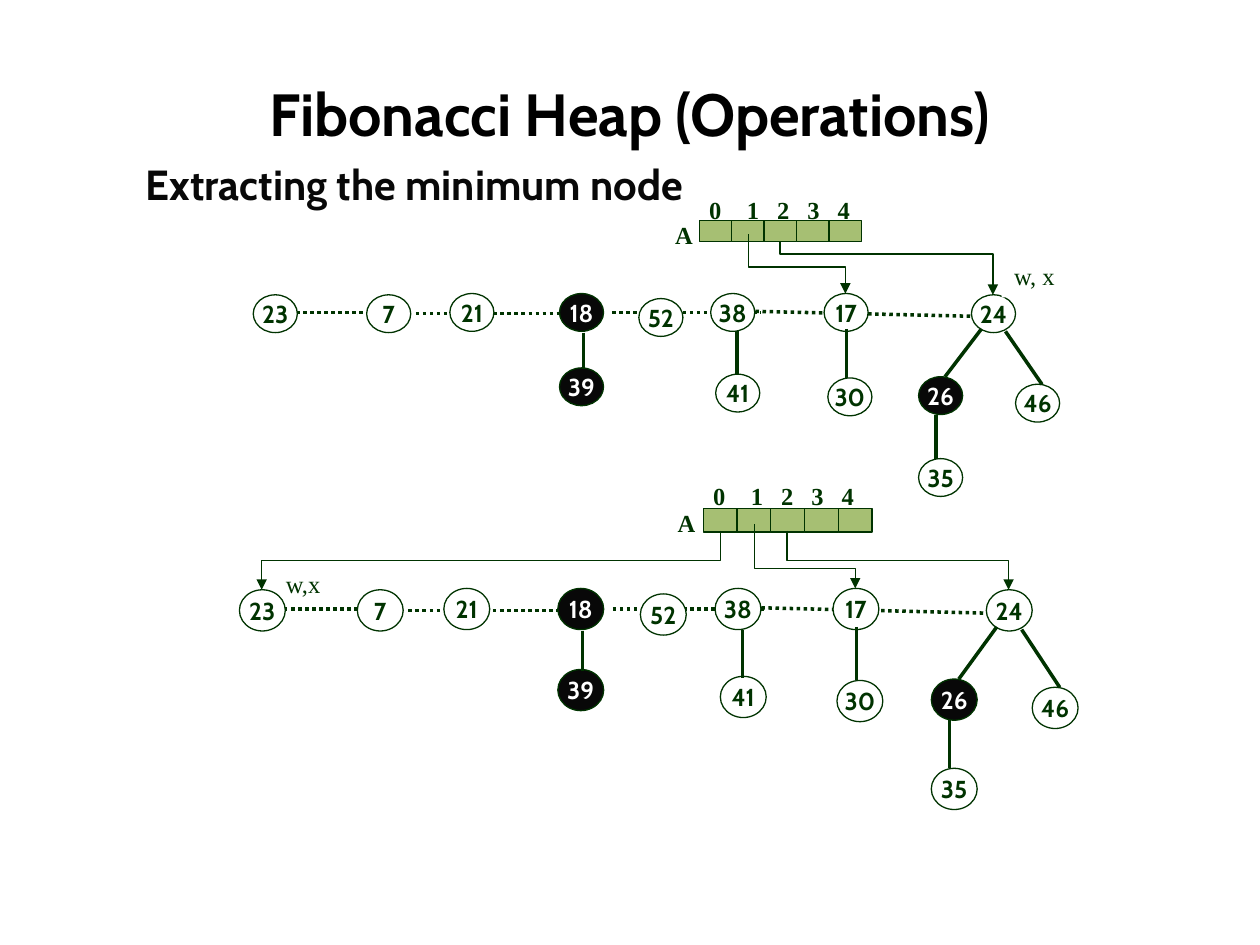
from lxml import etree
from pptx import Presentation
from pptx.dml.color import RGBColor
from pptx.enum.dml import MSO_LINE
from pptx.enum.shapes import MSO_CONNECTOR, MSO_SHAPE
from pptx.enum.text import MSO_ANCHOR, PP_ALIGN
from pptx.oxml.ns import qn
from pptx.util import Emu, Pt

PX = 9144  # 100 px to the inch
STRAIGHT, ELBOW = MSO_CONNECTOR.STRAIGHT, MSO_CONNECTOR.ELBOW
RECT, OVAL = MSO_SHAPE.RECTANGLE, MSO_SHAPE.OVAL
LEFT, CENTER, JUSTIFY = PP_ALIGN.LEFT, PP_ALIGN.CENTER, PP_ALIGN.JUSTIFY
TOP, MIDDLE = MSO_ANCHOR.TOP, MSO_ANCHOR.MIDDLE
DOTTED = MSO_LINE.ROUND_DOT
SANS, SERIF = "Cabin", "Times New Roman"
GREEN, CELL, BLACK, WHITE = "003300", "A6BF73", "080808", "FFFFFF"

# label, left, top, marked
NODES = [
    ("23", 201, 234, False), ("7", 291, 234, False), ("21", 357, 233, False),
    ("18", 444, 233, True), ("52", 507, 237, False), ("38", 564, 233, False),
    ("17", 654, 233, False), ("24", 771, 234, False), ("39", 444, 292, True),
    ("41", 568, 297, False), ("30", 657, 300, False), ("26", 729, 299, True),
    ("46", 806, 305, False), ("35", 729, 364, False),
]
ROOT_LINKS = [(235, 248, 291, 248), (330, 249, 444, 249),
              (486, 248, 604, 248), (594, 247, 771, 251)]
CHILD_LINKS = [(463, 264, 463, 293), (585, 263, 585, 298), (672, 261, 672, 300),
               (779, 261, 750, 299), (798, 263, 827, 305), (743, 329, 743, 364)]


def rgb(color):
    return RGBColor.from_string(color)


class Canvas:
    """Draws on one slide; place() sets where and how large the heap parts go."""

    def __init__(self, slide):
        self.slide = slide
        self.place()

    def place(self, from_x=0, from_y=0, to_x=0, to_y=0, scale_x=1, scale_y=1):
        self.frame = from_x, from_y, to_x, to_y, scale_x, scale_y

    def point(self, x, y):
        from_x, from_y, to_x, to_y, scale_x, scale_y = self.frame
        return (Emu(round((to_x + (x - from_x) * scale_x) * PX)),
                Emu(round((to_y + (y - from_y) * scale_y) * PX)))

    def box(self, x, y, w, h):
        left, top = self.point(x, y)
        right, bottom = self.point(x + w, y + h)
        return left, top, right - left, bottom - top

    def put_text(self, tf, text, size=14, font=SANS, color=GREEN, bold=True,
                 align=LEFT, anchor=TOP, wrap=False, tabs=()):
        tf.word_wrap = wrap
        tf.vertical_anchor = anchor
        p = tf.paragraphs[0]
        p.alignment = align
        if tabs:
            tab_list = etree.SubElement(p._p.get_or_add_pPr(), qn("a:tabLst"))
            for pos in tabs:
                etree.SubElement(tab_list, qn("a:tab"), pos=str(pos * PX), algn="l")
        r = p.add_run()
        r.text = text
        r.font.name, r.font.size, r.font.bold = font, Pt(size), bold
        r.font.color.rgb = rgb(color)
        return p

    def title(self, text, *area):
        sp = self.slide.shapes.title
        sp.left, sp.top, sp.width, sp.height = self.box(*area)
        self.put_text(sp.text_frame, text, 34, color="000000", align=CENTER,
                      anchor=MIDDLE, wrap=True)

    def text(self, text, *area, fill=None, **style):
        sp = self.slide.shapes.add_textbox(*self.box(*area))
        if fill:
            sp.fill.solid()
            sp.fill.fore_color.rgb = rgb(fill)
        return self.put_text(sp.text_frame, text, **style)

    def shape(self, kind, fill, *area):
        sp = self.slide.shapes.add_shape(kind, *self.box(*area))
        sp.shadow.inherit = False
        sp.fill.solid()
        sp.fill.fore_color.rgb = rgb(fill)
        sp.line.color.rgb = rgb(GREEN)
        sp.line.width = Pt(0.75)
        return sp

    def node(self, label, x, y, marked):
        sp = self.shape(OVAL, BLACK if marked else WHITE, x, y, 35, 30)
        self.put_text(sp.text_frame, label, color=WHITE if marked else GREEN,
                      align=CENTER, anchor=MIDDLE)

    def connector(self, kind, begin, end, width, dash=None):
        c = self.slide.shapes.add_connector(kind, *begin, *end)
        etree.SubElement(c._element.spPr, qn("a:effectLst"))
        c.line.color.rgb = rgb(GREEN)
        c.line.width = Pt(width)
        if dash:
            c.line.dash_style = dash
        return c

    def line(self, x1, y1, x2, y2, width=2, dash=None):
        self.connector(STRAIGHT, self.point(x1, y1), self.point(x2, y2), width, dash)

    def pointer(self, x1, y1, x2, y2, bend):
        """Elbow arrow that leaves downwards and turns at the share bend of its drop."""
        (x1, y1), (x2, y2) = self.point(x1, y1), self.point(x2, y2)
        run, drop = abs(x2 - x1), y2 - y1
        left, top = (x1 + x2 - drop) // 2, (y1 + y2 - run) // 2
        begin, end = (left, top), (left + drop, top + run)
        rotation = 90
        if x2 > x1:  # a begin to the right of the end flips the elbow
            begin, end = (left + drop, top), (left, top + run)
            rotation = 270
        c = self.connector(ELBOW, begin, end, 0.75)
        sp_pr = c._element.spPr
        sp_pr.find(qn("a:xfrm")).set("rot", str(rotation * 60000))
        guides = sp_pr.find(qn("a:prstGeom")).get_or_add_avLst()
        etree.SubElement(guides, qn("a:gd"), name="adj1",
                         fmla=f"val {round(bend * 100000)}")
        etree.SubElement(c.line._get_or_add_ln(), qn("a:tailEnd"), type="triangle")

    def heap(self, pointers):
        for i in range(5):
            self.shape(RECT, CELL, 555 + 25.75 * i, 175, 25.75, 17)
        self.text("\t".join("01234"), 553, 150, 133, 34, font=SERIF, wrap=True,
                  tabs=[30 + 24 * i for i in range(4)])
        self.text("A", 526, 170, 34, 34, font=SERIF)
        for link in ROOT_LINKS:
            self.line(*link, dash=DOTTED)
        for node in NODES:
            self.node(*node)
        for link in CHILD_LINKS:
            self.line(*link)
        self.line(594, 186, 594, 191, width=0.75)
        for pointer in pointers:
            self.pointer(*pointer)


def main():
    prs = Presentation()
    prs.slide_width, prs.slide_height = Emu(1000 * PX), Emu(750 * PX)
    s = Canvas(prs.slides.add_slide(prs.slide_layouts[5]))
    s.title("Fibonacci Heap (Operations)", 50, 50, 900, 79)
    p = s.text("Extracting the minimum node", 106, 101, 787, 243, size=24,
               color=BLACK, align=JUSTIFY, wrap=True)
    p.line_spacing = 1.5

    s.heap([(594, 191, 671, 233, 0.5), (619, 192, 788, 234, 0.23)])
    s.text("w, x", 795, 202, 53, 34, fill=WHITE, font=SERIF, bold=False)

    s.place(201, 233, 190, 467, 1.04, 1.09)
    s.heap([(594, 191, 671, 233, 0.66), (619, 191, 788, 234, 0.5),
            (568, 191, 218, 234, 0.5)])
    s.place()
    s.text("w,x", 217, 447, 52, 37, font=SERIF, bold=False)
    prs.save("out.pptx")


if __name__ == "__main__":
    main()
